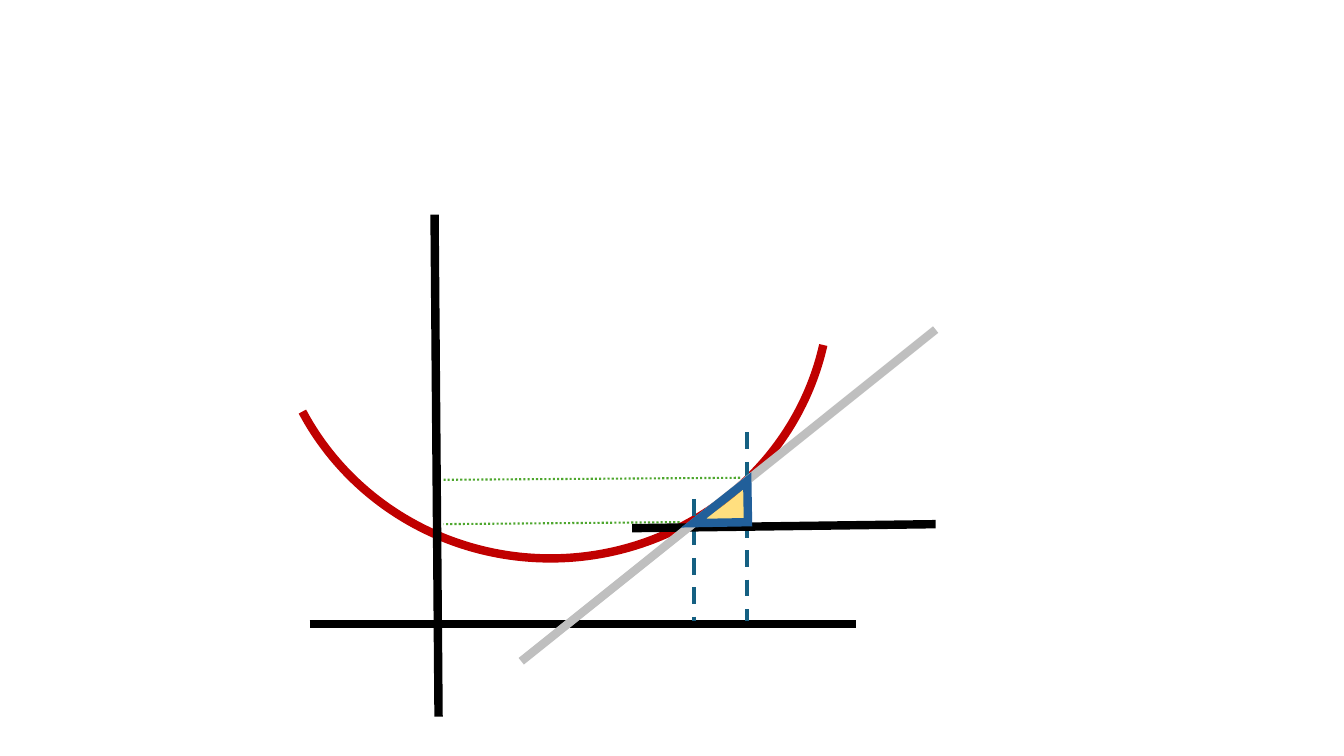
from pptx import Presentation
from pptx import util as u
from pptx.dml.color import RGBColor
from pptx.enum import dml, shapes
from pptx.oxml.ns import qn
from lxml import etree

COLORS = {
    "axis": "000000",
    "curve": "C00000",
    "secant": "BFBFBF",
    "x_guide": "156082",
    "y_guide": "4EA72E",
    "triangle_fill": "FFC000",
    "triangle_line": "215F9A",
}
DASH, DOT = dml.MSO_LINE.DASH, dml.MSO_LINE.ROUND_DOT
THICK, MEDIUM, THIN = 6, 3, 1.5


class Diagram:
    def __init__(self, page):
        self.page = page

    def style_line(self, shape, color, width, dash=None):
        line = shape.line
        line.color.rgb = RGBColor.from_string(COLORS[color])
        formats = {"width": u.Pt(width), "dash_style": dash}
        for name, value in formats.items():
            setattr(line, name, value)
        outline = shape._element.spPr.find(qn("a:ln"))
        etree.SubElement(outline, qn("a:miter"), lim="800000")

    def segment(self, start, end, color, width=THICK, dash=None):
        ends = [u.Inches(value) for value in (*start, *end)]
        connector = self.page.shapes.add_connector(
            shapes.MSO_CONNECTOR.STRAIGHT, *ends)
        self.style_line(connector, color, width, dash)
        etree.SubElement(connector._element.spPr, qn("a:effectLst"))

    def outline(self, kind, frame, color):
        shape = self.page.shapes.add_shape(
            kind, *[u.Inches(value) for value in frame])
        shape.shadow.inherit = False
        shape.fill.background()
        self.style_line(shape, color, THICK)
        return shape

    def arc(self, frame, angles, color):
        """Draw an arc; angles are in units of 100000/60000 degrees."""
        shape = self.outline(shapes.MSO_SHAPE.ARC, frame, color)
        for index, angle in enumerate(angles):
            shape.adjustments[index] = angle

    def right_triangle(self, frame, rotation, color, fill, opacity):
        shape = self.outline(shapes.MSO_SHAPE.RIGHT_TRIANGLE, frame, color)
        shape.rotation = rotation
        shape.fill.solid()
        shape.fill.fore_color.rgb = RGBColor.from_string(COLORS[fill])
        tint = shape._element.spPr.find(qn("a:solidFill"))[0]
        etree.SubElement(tint, qn("a:alpha"), val=str(opacity * 1000))


def main():
    deck = Presentation()
    deck.slide_width, deck.slide_height = u.Inches(13.33), u.Inches(7.5)
    diagram = Diagram(deck.slides.add_slide(deck.slide_layouts[6]))

    diagram.arc((2.69, 0.15, 5.54, 5.39), (7.23, 91.97), "curve")
    diagram.segment((4.31, 2.13), (4.35, 7.11), "axis")
    diagram.segment((3.07, 6.19), (8.49, 6.19), "axis")
    for x, top in ((6.88, 4.95), (7.41, 4.29)):
        diagram.segment((x, top), (x, 6.16), "x_guide", MEDIUM, DASH)
    for x, y in ((7.34, 4.74), (6.74, 5.18)):
        diagram.segment((x, y), (4.4, y + 0.02), "y_guide", THIN, DOT)
    diagram.segment((6.27, 5.24), (9.28, 5.2), "axis")
    diagram.segment((5.17, 6.56), (9.28, 3.27), "secant")
    diagram.right_triangle((6.94, 4.71, 0.41, 0.54), 269,
                           "triangle_line", "triangle_fill", 50)
    deck.save("out.pptx")


if __name__ == "__main__":
    main()
